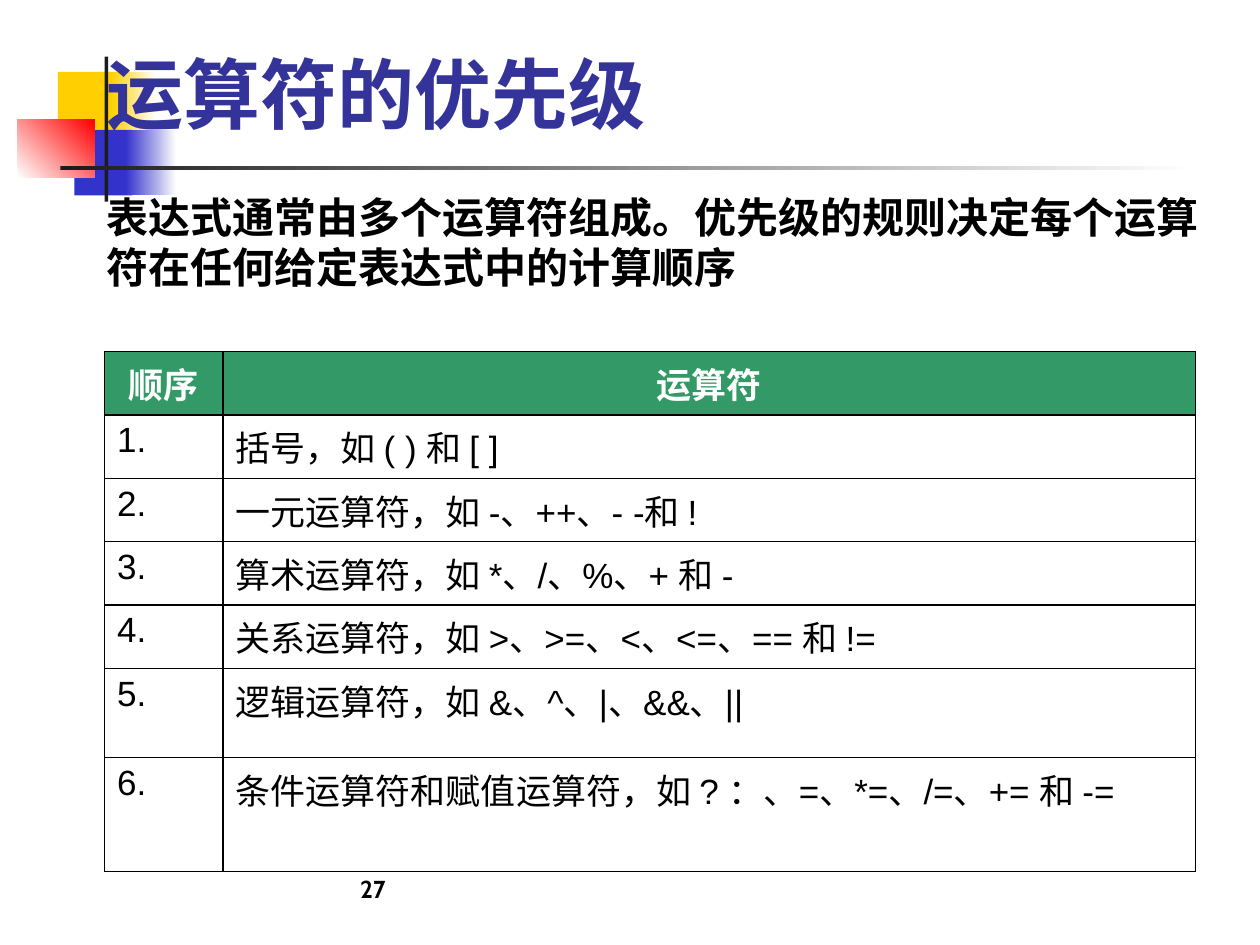
from collections import namedtuple

from lxml.etree import SubElement
from pptx import Presentation
from pptx.dml.color import RGBColor
from pptx.enum.shapes import MSO_SHAPE as Shape
from pptx.enum.text import MSO_ANCHOR as Anchor, PP_ALIGN as Align
from pptx.oxml.ns import qn
from pptx.util import Emu, Inches, Pt

Box = namedtuple("Box", "left top width height")

SLIDE = Box(0, 0, 10, 7.5)
HEADING_FONT, LATIN_FONT, CHINESE_FONT = "Cabin", "Arial", "Noto Sans CJK SC"
BLACK, WHITE, GREEN, TITLE_BLUE = "000000", "FFFFFF", "339966", "333399"
YELLOW, BLUE, RED, DARK = "FFCF01", "3333CC", "FF0000", "1C1C1C"

# Decoration: box relative to the region's corner, colours, gradient angle
DECORATION = [
    (Box(0.32, 0.12, 0.48, 0.52), [YELLOW], 0),
    (Box(0.74, 0.12, 0.36, 0.52), [YELLOW, WHITE], 0),
    (Box(0.45, 0.58, 0.46, 0.52), [BLUE], 0),
    (Box(0.86, 0.58, 0.4, 0.52), [BLUE, WHITE], 0),
    (Box(0, 0.5, 0.61, 0.46), [WHITE, RED], 45),
    (Box(0.69, 0, 0.03, 1.15), [DARK], 0),
    (Box(0.34, 0.87, 9, 0.03), [DARK, WHITE], 0),
]
DECORATION_BOX = Box(0.14, 0.45, 9.34, 1.15)

INTRODUCTION = "表达式通常由多个运算符组成。优先级的规则决定每个运算符在任何给定表达式中的计算顺序"
HEADERS = ("顺序", "运算符")
OPERATORS = [
    "括号，如 ( ) 和 [ ]",
    "一元运算符，如 -、++、- -和 !",
    "算术运算符，如 *、/、%、+ 和 -",
    "关系运算符，如 >、>=、<、<=、== 和 !=",
    "逻辑运算符，如 &、^、|、&&、||",
    "条件运算符和赋值运算符，如 ? ：、=、*=、/=、+= 和 -=",
]
COLUMN_WIDTHS = (0.94, 7.72)
ROW_POINTS = [36.2] * 5 + [51, 65]
HANGING = Inches(0.38)


def color(value):
    return RGBColor.from_string(value)


def inches(box):
    return [Inches(length) for length in box]


def within(box, part):
    return part._replace(left=box.left + part.left, top=box.top + part.top)


def format_runs(paragraph, size, hue, bold, latin, chinese):
    for run in paragraph.runs:
        font = run.font
        font.size, font.bold, font.name = Pt(size), bold, latin
        font.color.rgb = color(hue)
        SubElement(run._r.get_or_add_rPr(), qn("a:ea"), typeface=chinese)


def add_decoration(slide, box):
    for part, colors, angle in DECORATION:
        shape = slide.shapes.add_shape(Shape.RECTANGLE, *inches(within(box, part)))
        shape.shadow.inherit = False
        shape.line.fill.background()
        if len(colors) == 1:
            shape.fill.solid()
            shape.fill.fore_color.rgb = color(colors[0])
            continue
        shape.fill.gradient()
        shape.fill.gradient_angle = angle
        for stop, hue in zip(shape.fill.gradient_stops, colors):
            stop.color.rgb = color(hue)


def add_heading_text(slide, box, text, size, hue=BLACK, anchor=Anchor.TOP,
                     align=Align.LEFT):
    text_frame = slide.shapes.add_textbox(*inches(box)).text_frame
    text_frame.word_wrap = True
    text_frame.vertical_anchor = anchor
    text_frame.text = text
    paragraph = text_frame.paragraphs[0]
    paragraph.alignment = align
    format_runs(paragraph, size, hue, True, HEADING_FONT, HEADING_FONT)


def set_borders(cell):
    properties = cell._tc.get_or_add_tcPr()
    for side in ("lnL", "lnR", "lnT", "lnB"):
        line = SubElement(properties, qn(f"a:{side}"), w=str(Pt(1)))
        fill = SubElement(line, qn("a:solidFill"))
        SubElement(fill, qn("a:srgbClr"), val=BLACK)


def format_cell(cell, text, is_header):
    set_borders(cell)
    if is_header:
        cell.fill.solid()
        cell.fill.fore_color.rgb = color(GREEN)
    else:
        cell.fill.background()
    cell.text_frame.text = text
    paragraph = cell.text_frame.paragraphs[0]
    paragraph.alignment = Align.CENTER if is_header else Align.LEFT
    properties = paragraph._p.get_or_add_pPr()
    properties.set("marL", str(HANGING))
    properties.set("indent", str(Emu(-HANGING)))
    format_runs(paragraph, 20, WHITE if is_header else BLACK, is_header,
                LATIN_FONT, CHINESE_FONT)


def add_precedence_table(slide, box):
    rows = [HEADERS] + [(f"{number}.", text)
                        for number, text in enumerate(OPERATORS, 1)]
    table = slide.shapes.add_table(len(rows), len(HEADERS), *inches(box)).table
    table.first_row = table.horz_banding = False
    for column, width in zip(table.columns, COLUMN_WIDTHS):
        column.width = Inches(width)
    for row, height in zip(table.rows, ROW_POINTS):
        row.height = Pt(height)
    for row_index, texts in enumerate(rows):
        for column_index, text in enumerate(texts):
            format_cell(table.cell(row_index, column_index), text, row_index == 0)


def main():
    presentation = Presentation()
    presentation.slide_width = Inches(SLIDE.width)
    presentation.slide_height = Inches(SLIDE.height)
    slide = presentation.slides.add_slide(presentation.slide_layouts[6])

    add_decoration(slide, DECORATION_BOX)
    # Page number, title and introduction
    add_heading_text(slide, Box(0.83, 6.98, 2.33, 0.24), "27", 14,
                     anchor=Anchor.BOTTOM, align=Align.RIGHT)
    add_heading_text(slide, Box(0.75, 0.28, 9, 0.87), "运算符的优先级", 44,
                     hue=TITLE_BLUE, anchor=Anchor.BOTTOM)
    add_heading_text(slide, Box(0.75, 1.47, 8.98, 0.94), INTRODUCTION, 24)
    add_precedence_table(
        slide, Box(0.83, 2.79, sum(COLUMN_WIDTHS), sum(ROW_POINTS) / 72))

    presentation.save("out.pptx")


if __name__ == "__main__":
    main()
